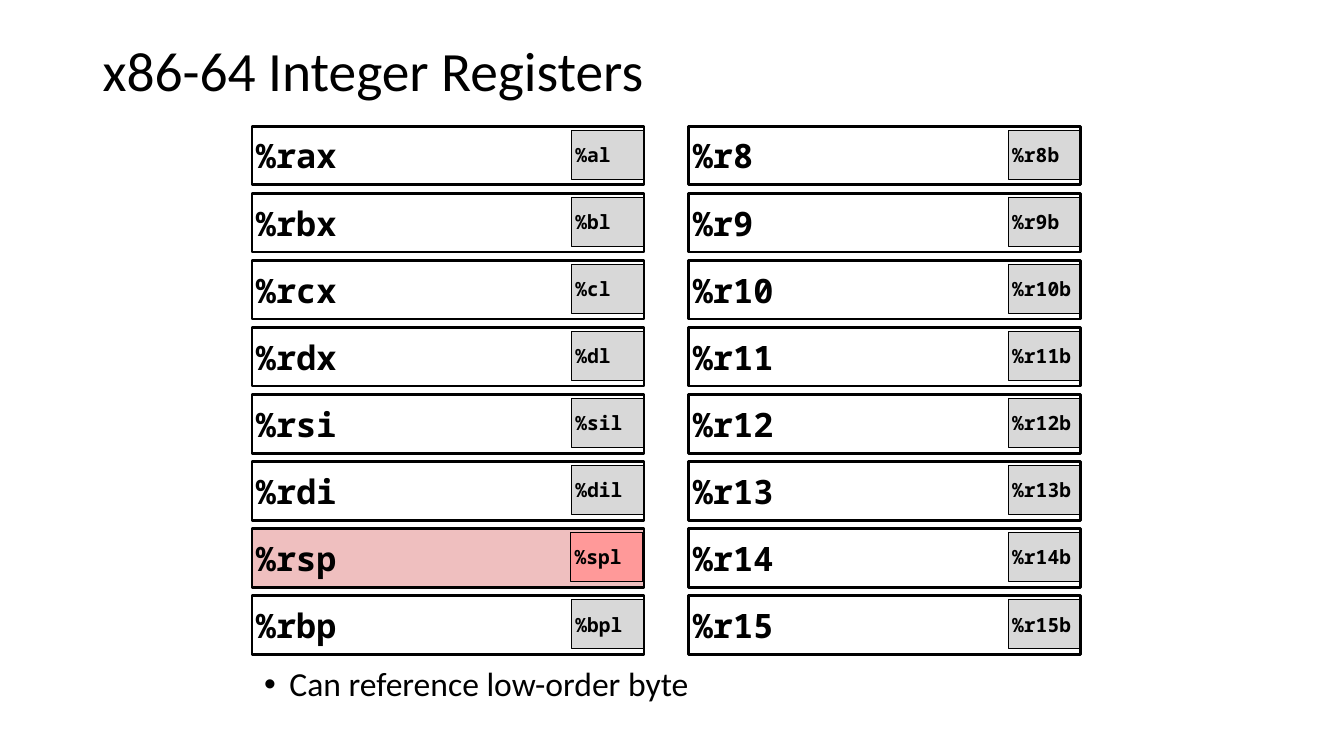
"""Build the slide of x86-64 integer registers and their low-order bytes."""
from lxml import etree
from pptx import Presentation
from pptx import util as u
from pptx.dml.color import RGBColor
from pptx.enum import shapes, text
from pptx.oxml import ns

BLACK = RGBColor(0x00, 0x00, 0x00)
GREY = RGBColor(0xD8, 0xD8, 0xD8)
PINK = RGBColor(0xEF, 0xBF, 0xBF)
RED = RGBColor(0xFF, 0x99, 0x99)

LEGACY = [("%rax", "%al"), ("%rbx", "%bl"), ("%rcx", "%cl"), ("%rdx", "%dl"),
          ("%rsi", "%sil"), ("%rdi", "%dil"), ("%rsp", "%spl"), ("%rbp", "%bpl")]
EXTENDED = [(f"%r{number}", f"%r{number}b") for number in range(8, 16)]
STACK_POINTER = "%rsp"
TOP, ROW_PITCH = 3.18, 1.69


class RegisterSlide:
    heading_font = "Calibri"
    code_font = "Noto Sans Mono"

    def __init__(self, deck):
        self.slide = deck.slides.add_slide(deck.slide_layouts[1])

    def style(self, para, font, size, bold=False):
        para.alignment = text.PP_ALIGN.LEFT
        for span in para.runs:
            span.font.name = font
            span.font.size = u.Pt(size)
            span.font.bold = bold
            span.font.color.rgb = BLACK

    def placeholder(self, holder, words, place, size, anchor, level=0):
        holder.left, holder.top, holder.width, holder.height = map(u.Cm, place)
        frame = holder.text_frame
        frame.text = words
        frame.auto_size = text.MSO_AUTO_SIZE.NONE
        frame.vertical_anchor = anchor
        para = frame.paragraphs[0]
        para.level = level
        para.line_spacing = 0.9
        para.space_before = u.Pt(0)
        self.style(para, self.heading_font, size)
        return para

    def title(self, words):
        self.placeholder(self.slide.shapes.title, words, (2.33, 1.02, 29.21, 1.69),
                         39.6, text.MSO_ANCHOR.MIDDLE)

    def bullet(self, words):
        para = self.placeholder(self.slide.placeholders[1], words, (5.13, 16.7, 20.37, 2.35),
                                24, text.MSO_ANCHOR.TOP, level=1)
        props = para._p.get_or_add_pPr()
        props.set("marL", str(u.Cm(1.91)))
        props.set("indent", str(u.Cm(-0.64)))
        etree.SubElement(props, ns.qn("a:buFont"), typeface="Arial")
        etree.SubElement(props, ns.qn("a:buChar"), char="•")

    def box(self, words, place, size, line, fill=None):
        box = self.slide.shapes.add_shape(shapes.MSO_SHAPE.RECTANGLE, *map(u.Cm, place))
        box.shadow.inherit = False
        if fill is None:
            box.fill.background()
        else:
            box.fill.solid()
            box.fill.fore_color.rgb = fill
        box.line.color.rgb = BLACK
        box.line.width = u.Pt(line)
        frame = box.text_frame
        frame.text = words
        frame.vertical_anchor = text.MSO_ANCHOR.MIDDLE
        frame.margin_left = frame.margin_right = u.Cm(0.1)
        frame.margin_top = frame.margin_bottom = u.Cm(0.1)
        self.style(frame.paragraphs[0], self.code_font, size, bold=True)

    def full_register(self, name, left, top, fill=None):
        self.box(name, (left, top, 9.88, 1.48), 24, 2, fill)

    def low_byte(self, name, left, top, fill=GREY, line=0.75):
        self.box(name, (left + 8.05, top + 0.1, 1.83, 1.24), 14, line, fill)

    def register(self, name, byte, left, top):
        if name == STACK_POINTER:
            self.full_register(name, left, top, PINK)
            self.low_byte(byte, left - 0.02, top, RED, 1)
        else:
            self.low_byte(byte, left, top)
            self.full_register(name, left, top)


def main():
    deck = Presentation()
    deck.slide_width, deck.slide_height = u.Cm(33.87), u.Cm(19.05)
    page = RegisterSlide(deck)
    page.title("x86-64 Integer Registers")
    page.bullet("Can reference low-order byte")
    for left, registers in ((6.35, LEGACY), (17.36, EXTENDED)):
        for row, (name, byte) in enumerate(registers):
            page.register(name, byte, left, TOP + row * ROW_PITCH)
    deck.save("out.pptx")


if __name__ == "__main__":
    main()
